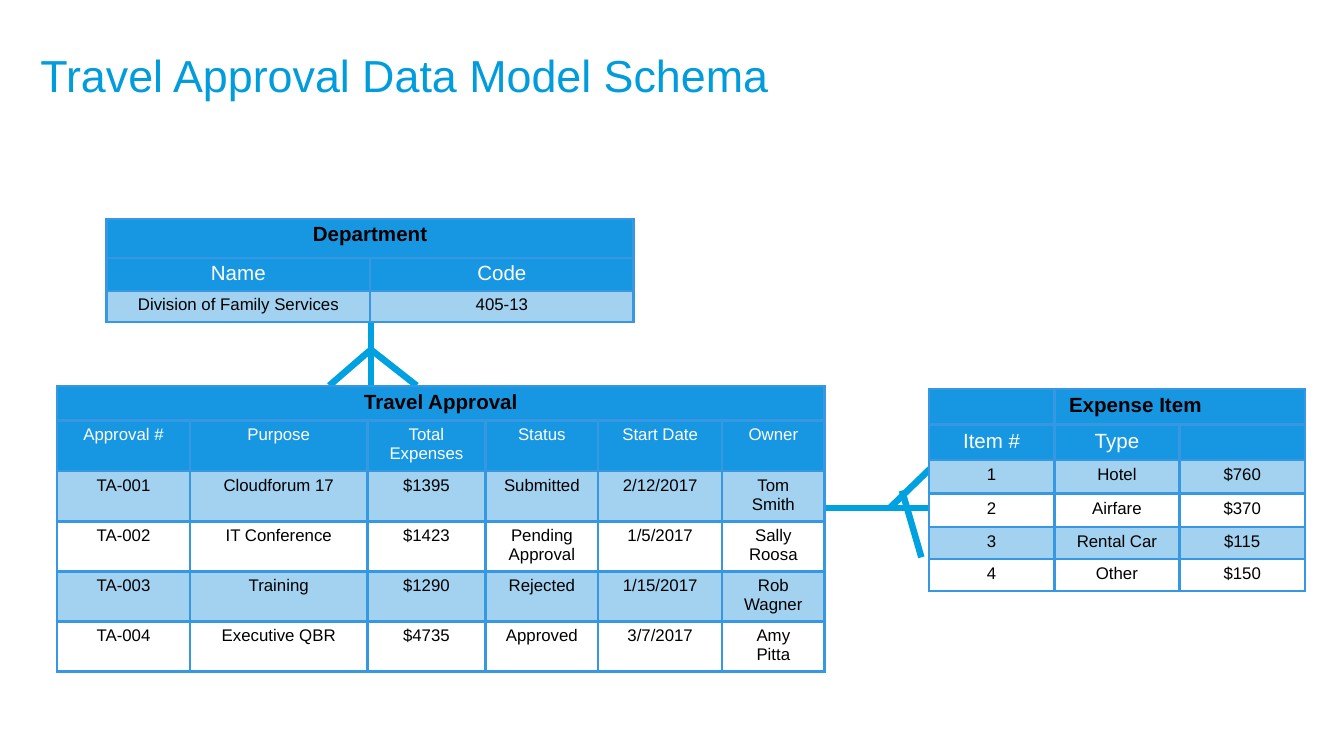
from dataclasses import dataclass

from lxml.etree import SubElement
from pptx import Presentation
from pptx.dml.color import RGBColor
from pptx.enum.shapes import MSO_CONNECTOR
from pptx.enum.text import MSO_ANCHOR, PP_ALIGN
from pptx.oxml.ns import qn
from pptx.util import Pt


@dataclass(frozen=True)
class Theme:
    font: str = "Arial"
    title: str = "009CDB"
    link: str = "00A1E0"
    edge: str = "3698E2"
    head: str = "1797E2"
    band: str = "A3D2F0"
    white: str = "FFFFFF"
    black: str = "000000"
    big: float = 24
    mid: float = 11
    small: float = 9


THEME = Theme()

DEPARTMENT = [
    ["Department", ""],
    ["Name", "Code"],
    ["Division of Family Services", "405-13"],
]
# \n starts a new paragraph, \v breaks the line
APPROVAL = [
    ["Travel Approval", "", "", "", "", ""],
    ["Approval #", "Purpose", "Total\nExpenses", "Status", "Start Date", "Owner"],
    ["TA-001", "Cloudforum 17", "$1395", "Submitted", "2/12/2017", "Tom\vSmith"],
    ["TA-002", "IT Conference", "$1423", "Pending Approval", "1/5/2017", "Sally Roosa"],
    ["TA-003", "Training", "$1290", "Rejected", "1/15/2017", "Rob\nWagner"],
    ["TA-004", "Executive QBR", "$4735", "Approved", "3/7/2017", "Amy\vPitta"],
]
EXPENSE = [
    ["", "Expense Item", ""],
    ["Item #", "Type", ""],
    ["1", "Hotel", "$760"],
    ["2", "Airfare", "$370"],
    ["3", "Rental Car", "$115"],
    ["4", "Other", "$150"],
]

# Each line: x and y of its start, then of its end
ITEM_LINKS = [
    (506, 272.2, 441.4, 272.2),
    (476.6, 272.2, 500.4, 249.1),
    (483.2, 262.8, 493.6, 298.6),
]
DEPT_LINKS = [
    (198.7, 172.8, 198.7, 206.6),
    (198, 187.9, 176.4, 206.6),
    (199.4, 187.9, 223.2, 206.6),
]


def style(para, size, color, bold=False):
    font = para.font
    font.name = THEME.font
    font.size = Pt(size)
    font.bold = bold
    font.color.rgb = RGBColor.from_string(color)


def add_title(slide, text):
    box = slide.shapes.add_textbox(Pt(21.6), Pt(0), Pt(677.5), Pt(54))
    frame = box.text_frame
    frame.word_wrap = True
    frame.vertical_anchor = MSO_ANCHOR.BOTTOM
    frame.margin_left = frame.margin_right = 0
    frame.margin_top = frame.margin_bottom = 0
    frame.text = text
    para = frame.paragraphs[0]
    para.line_spacing = 0.8
    style(para, THEME.big, THEME.title)


def add_links(slide, lines):
    """Draw a crow's foot as three plain lines."""
    for ends in lines:
        link = slide.shapes.add_connector(
            MSO_CONNECTOR.STRAIGHT, *(Pt(n) for n in ends))
        link.line.width = Pt(3.5)
        link.line.color.rgb = RGBColor.from_string(THEME.link)
        SubElement(link._element.spPr, qn("a:effectLst"))


def add_edges(cell):
    props = cell._tc.get_or_add_tcPr()
    for side in ("lnL", "lnR", "lnT", "lnB"):
        edge = SubElement(props, qn(f"a:{side}"), w=str(Pt(1.5)))
        fill = SubElement(edge, qn("a:solidFill"))
        SubElement(fill, qn("a:srgbClr"), val=THEME.edge)


def fill_cell(cell, text, row, sub, pad):
    """Style a cell by its row: 0 is the name, 1 the headings, then data."""
    add_edges(cell)
    if row < 2:
        back = THEME.head
    else:
        back = THEME.white if row % 2 else THEME.band
    cell.fill.solid()
    cell.fill.fore_color.rgb = RGBColor.from_string(back)
    cell.margin_left = cell.margin_right = Pt(pad[0])
    cell.margin_top = cell.margin_bottom = Pt(pad[1])
    size = (THEME.mid, sub)[row] if row < 2 else THEME.small
    color = THEME.white if row == 1 else THEME.black
    cell.text = text
    for para in cell.text_frame.paragraphs:
        para.alignment = PP_ALIGN.CENTER
        style(para, size, color, row == 0)
        if not text:
            para._p.get_or_add_endParaRPr().set("sz", str(size * 100))


def add_grid(slide, spot, cols, rows, data, sub, pad, first=0):
    """Add a table whose name spans the top row from column first on."""
    frame = slide.shapes.add_table(
        len(rows), len(cols), Pt(spot[0]), Pt(spot[1]),
        Pt(sum(cols)), Pt(sum(rows)))
    table = frame.table
    table.first_row = table.horz_banding = False
    for col, wide in zip(table.columns, cols):
        col.width = Pt(wide)
    for row, high in zip(table.rows, rows):
        row.height = Pt(high)
    for r, line in enumerate(data):
        for c, text in enumerate(line):
            fill_cell(table.cell(r, c), text, r, sub, pad)
    table.cell(0, first).merge(table.cell(0, len(cols) - 1))
    return table


def main():
    deck = Presentation()
    deck.slide_width, deck.slide_height = Pt(720), Pt(405)
    slide = deck.slides.add_slide(deck.slide_layouts[6])
    add_links(slide, ITEM_LINKS)
    add_title(slide, "Travel Approval Data Model Schema")
    add_links(slide, DEPT_LINKS)
    items = add_grid(slide, (497.7, 208.3), [67.1] * 3, [18] * 4 + [17.2] * 2,
                     EXPENSE, THEME.mid, (7.9, 2.9), first=1)
    items.cell(0, 1).text_frame.paragraphs[0].alignment = PP_ALIGN.LEFT
    add_grid(slide, (57.1, 117.3), [141.2] * 2, [20.9, 16.6, 16.6],
             DEPARTMENT, THEME.mid, (5, 2.2))
    add_grid(slide, (30.5, 206.8), [71.3, 95, 63.3, 60.4, 66.4, 54.9],
             [17.6, 27.3] + [25.6] * 4, APPROVAL, THEME.small, (7.2, 2.6))
    deck.save("out.pptx")


if __name__ == "__main__":
    main()
